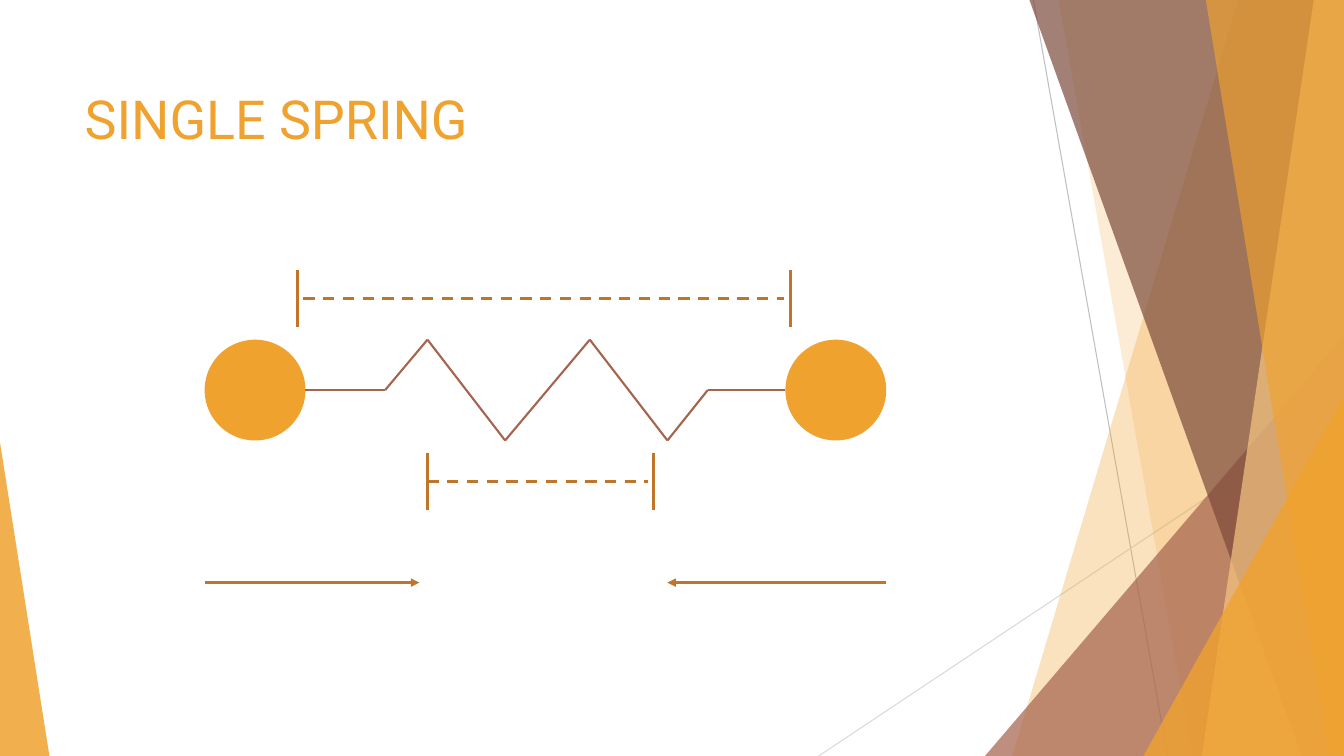
import pptx
import pptx.util
import pptx.dml.color
import pptx.enum.dml
import pptx.enum.shapes
import pptx.enum.text
import pptx.oxml
import pptx.oxml.ns
from itertools import pairwise

Inches = pptx.util.Inches
Kind = pptx.enum.shapes.MSO_SHAPE
WIDE, HIGH = 13.33, 7.5
GOLD, RUST, BROWN = "F0A22E", "A5644E", "C17529"

TITLE = "single spring"
RAYS = [
    ((10.25, 0), (11.58, HIGH), "BFBFBF"),
    ((WIDE, 4.03), (8.12, HIGH), "D9D9D9"),
]
FACETS = [
    ("band", 12.28, 10.04, GOLD, 30),
    ("band", 10.5, 11.83, GOLD, 20),
    ("right", 3.56, 4.17, RUST, 72),
    ("band", 10.21, 12.91, "7C4B3B", 70),
    ("band", 13.03, 11.92, "F6C782", 70),
    ("band", 11.96, 13.18, GOLD, 65),
    ("right", 1.99, 3.57, GOLD, 80),
    ("left", 0.49, 3.11, GOLD, 85),
]
BALL = 1
BALLS = [2.03, 7.79]
MID = 3.87
SPRING = [(3.03, 0), (3.82, 0), (4.24, -0.5), (5.01, 0.5),
          (5.85, -0.5), (6.62, 0.5), (7.02, 0), (7.79, 0)]
TICK = 0.57
SPANS = [
    (2.95, 7.84, 2.96, 0.06, 0.06),
    (4.24, 6.48, 4.775, 0, 0.05),
]
ARROWS = [(2.03, 4.16), (8.79, 6.62)]
LOW = 5.78


def paint(color, hue):
    color.rgb = pptx.dml.color.RGBColor.from_string(hue)


def child(node, tag, **attrs):
    item = pptx.oxml.parse_xml(f"<a:{tag} {pptx.oxml.ns.nsdecls('a')}/>")
    for key, value in attrs.items():
        item.set(key, value)
    node.append(item)


def fill(shape, hue, alpha=100):
    shape.shadow.inherit = False
    shape.fill.solid()
    paint(shape.fill.fore_color, hue)
    shape.line.fill.background()
    if alpha < 100:
        color = shape.fill._xPr.find(".//" + pptx.oxml.ns.qn("a:srgbClr"))
        child(color, "alpha", val=str(alpha * 1000))


def stroke(slide, start, end, hue, width, dash=False, arrow=False):
    line = slide.shapes.add_connector(
        pptx.enum.shapes.MSO_CONNECTOR.STRAIGHT,
        *[Inches(n) for n in (*start, *end)])
    paint(line.line.color, hue)
    line.line.width = pptx.util.Pt(width)
    if dash:
        line.line.dash_style = pptx.enum.dml.MSO_LINE.DASH
    if arrow:
        child(line.line._get_or_add_ln(), "tailEnd", type="triangle")
    child(line._element.spPr, "effectLst")


def facet(slide, form, first, second, hue, alpha):
    if form == "band":
        pen = slide.shapes.build_freeform(Inches(first), 0)
        pen.add_line_segments(
            [(Inches(x), Inches(y)) for x, y in
             ((WIDE, 0), (WIDE, HIGH), (second, HIGH))], close=True)
        shape = pen.convert_to_shape()
    else:
        left = WIDE - first if form == "right" else 0
        shape = slide.shapes.add_shape(
            Kind.ISOSCELES_TRIANGLE, Inches(left), Inches(HIGH - second),
            Inches(first), Inches(second))
        shape.adjustments[0] = 1 if form == "right" else 0
    fill(shape, hue, alpha)


def head(slide):
    box = slide.shapes.title
    box.left, box.top = Inches(0.74), Inches(0.67)
    box.width, box.height = Inches(9.4), Inches(1.44)
    frame = box.text_frame
    frame.word_wrap = True
    frame.auto_size = pptx.enum.text.MSO_AUTO_SIZE.NONE
    frame.vertical_anchor = pptx.enum.text.MSO_ANCHOR.TOP
    para = frame.paragraphs[0]
    para.alignment = pptx.enum.text.PP_ALIGN.LEFT
    run = para.add_run()
    run.text = TITLE
    run.font.name = "Roboto"
    run.font.size = pptx.util.Pt(48)
    paint(run.font.color, GOLD)
    run.font._element.set("cap", "small")


def main():
    deck = pptx.Presentation()
    deck.slide_width, deck.slide_height = Inches(WIDE), Inches(HIGH)
    slide = deck.slides.add_slide(deck.slide_layouts[5])
    head(slide)
    for start, end, hue in RAYS:
        stroke(slide, start, end, hue, 0.75)
    for row in FACETS:
        facet(slide, *row)
    for left in BALLS:
        ball = slide.shapes.add_shape(
            Kind.OVAL, Inches(left), Inches(MID - BALL / 2),
            Inches(BALL), Inches(BALL))
        fill(ball, GOLD)
    for (x, rise), (far, drop) in pairwise(SPRING):
        stroke(slide, (x, MID + rise), (far, MID + drop), RUST, 1.5)
    for left, right, y, near, far in SPANS:
        stroke(slide, (left + near, y), (right - far, y), BROWN, 2, dash=True)
        for x in (left, right):
            stroke(slide, (x, y - TICK / 2), (x, y + TICK / 2), BROWN, 2)
    for start, end in ARROWS:
        stroke(slide, (start, LOW), (end, LOW), BROWN, 2, arrow=True)
    deck.save("out.pptx")


if __name__ == "__main__":
    main()
